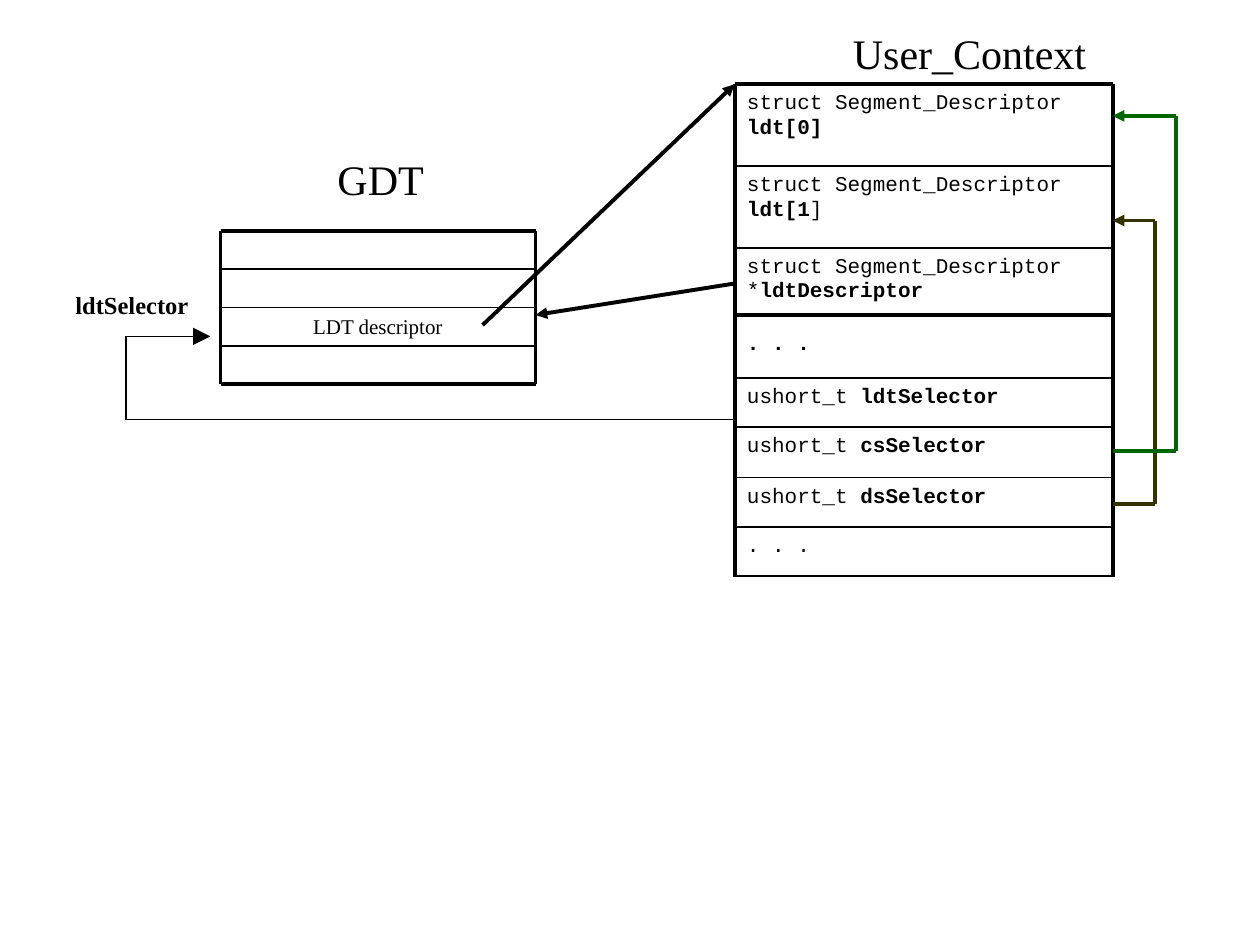
from dataclasses import dataclass

from lxml import etree
from pptx import Presentation
from pptx.dml.color import RGBColor
from pptx.enum.shapes import MSO_CONNECTOR
from pptx.enum.text import MSO_AUTO_SIZE, PP_ALIGN
from pptx.oxml.ns import qn
from pptx.util import Inches, Pt

STRAIGHT = MSO_CONNECTOR.STRAIGHT
NO_AUTOSIZE = MSO_AUTO_SIZE.NONE
LEFT, CENTER = PP_ALIGN.LEFT, PP_ALIGN.CENTER


@dataclass(frozen=True)
class Theme:
    black: str = "000000"
    olive: str = "333300"
    green: str = "006600"
    serif: str = "Times New Roman"
    mono: str = "Courier New"
    title: float = 24
    label: float = 14
    body: float = 12
    thick: float = 2.25
    thin: float = 1
    hair: float = 0.75


T = Theme()


@dataclass(frozen=True)
class Run:
    text: str
    bold: bool = False


@dataclass(frozen=True)
class Field:
    top: float
    height: float
    runs: tuple[Run, ...]


@dataclass(frozen=True)
class Label:
    left: float
    top: float
    width: float
    height: float
    size: float
    run: Run


@dataclass(frozen=True)
class Path:
    points: tuple[tuple[float, float], ...]
    color: str
    width: float
    head: str = "med"


def add_line(shapes, start: tuple[float, float], end: tuple[float, float],
             width: float, color: str = T.black, head: str = "") -> None:
    line = shapes.add_connector(STRAIGHT, *map(Inches, start + end))
    line.line.color.rgb = RGBColor.from_string(color)
    line.line.width = Pt(width)
    if head:
        etree.SubElement(line.line._get_or_add_ln(), qn("a:tailEnd"),
                         type="triangle", w=head, len=head)
    etree.SubElement(line._element.spPr, qn("a:effectLst"))


def add_text(shapes, box: tuple[float, float, float, float], runs: tuple[Run, ...],
             font: str, size: float, align=LEFT, wrap: bool = True,
             before: float = 0, spacing: float = 1) -> None:
    tf = shapes.add_textbox(*map(Inches, box)).text_frame
    tf.word_wrap = wrap
    tf.auto_size = NO_AUTOSIZE
    p = tf.paragraphs[0]
    p.alignment = align
    p.space_before = Pt(before)
    p.line_spacing = spacing
    for run in runs:
        r = p.add_run()
        r.text = run.text
        r.font.name = font
        r.font.size = Pt(size)
        r.font.bold = run.bold
        r.font.color.rgb = RGBColor.from_string(T.black)


def add_grid(shapes, left: float, right: float, bottom: float,
             rules: list[tuple[float, float]]) -> None:
    """Draw horizontal rules (y, width) between two thick sides."""
    for y, width in rules:
        add_line(shapes, (left, y), (right, y), width)
    for x in (left, right):
        add_line(shapes, (x, rules[0][0]), (x, bottom), T.thick)


def add_path(shapes, path: Path) -> None:
    """Draw joined segments with an arrowhead on the last one."""
    last = len(path.points) - 2
    for i, (start, end) in enumerate(zip(path.points, path.points[1:])):
        add_line(shapes, start, end, path.width, path.color,
                 path.head if i == last else "")


prs = Presentation()
prs.slide_width, prs.slide_height = Inches(10), Inches(7.5)
s = prs.slides.add_slide(prs.slide_layouts[6])
shapes = s.shapes

# GDT: four equal rows
GDT_LEFT, GDT_RIGHT, GDT_TOP, GDT_ROW, GDT_ROWS = 1.75, 4.25, 1.83, 0.305, 4
add_text(shapes, (GDT_LEFT, GDT_TOP + 2 * GDT_ROW, GDT_RIGHT - GDT_LEFT, 0.3),
         (Run("LDT descriptor"),), T.serif, T.body, CENTER, before=2.8)
gdt_rules = [(GDT_TOP + i * GDT_ROW, T.thick if i in (0, GDT_ROWS) else T.thin)
             for i in range(GDT_ROWS + 1)]
add_grid(shapes, GDT_LEFT, GDT_RIGHT, gdt_rules[-1][0], gdt_rules)

# User_Context: structure fields
CTX_LEFT, CTX_RIGHT, CTX_TOP, CTX_BOTTOM = 5.83, 8.83, 0.67, 4.58
STRUCT = "struct Segment_Descriptor "
FIELDS = (
    Field(CTX_TOP, 0.49, (Run(STRUCT), Run("ldt[0]", True))),
    Field(1.32, 0.49, (Run(STRUCT), Run("ldt[1", True), Run("]"))),
    Field(1.97, 0.49, (Run(STRUCT + "*"), Run("ldtDescriptor", True))),
    Field(2.58, 0.29, (Run(". . .", True),)),
    Field(3.0, 0.29, (Run("ushort_t"), Run(" ldtSelector", True))),
    Field(3.39, 0.29, (Run("ushort_t "), Run("csSelector", True))),
    Field(3.79, 0.29, (Run("ushort_t "), Run("dsSelector", True))),
    Field(4.18, 0.29, (Run(". . ."),)),
)
for field in FIELDS:
    add_text(shapes, (CTX_LEFT, field.top, CTX_RIGHT - CTX_LEFT, field.height),
             field.runs, T.mono, T.body, before=2.8, spacing=0.96)
ctx_rules = [(CTX_TOP, T.thick), (2.5, T.thick)]
ctx_rules += [(y, T.thin) for y in (1.32, 1.97, 3.0, 3.39, 3.79, 4.18, 4.57)]
add_grid(shapes, CTX_LEFT, CTX_RIGHT, CTX_BOTTOM, ctx_rules)

# Headings and selector label
LABELS = (
    Label(2.58, 1.17, 0.88, 0.5, T.title, Run("GDT")),
    Label(6.67, 0.17, 2.05, 0.5, T.title, Run("User_Context")),
    Label(0.5, 2.25, 1.1, 0.34, T.label, Run("ldtSelector", True)),
)
for label in LABELS:
    add_text(shapes, (label.left, label.top, label.width, label.height),
             (label.run,), T.serif, label.size, wrap=False)


# References between the tables
def loop(y_from: float, y_to: float, x: float, color: str) -> Path:
    return Path(((CTX_RIGHT, y_from), (x, y_from), (x, y_to), (CTX_RIGHT, y_to)),
                color, T.thick)


PATHS = (
    Path(((CTX_LEFT, 2.25), (GDT_RIGHT, 2.5)), T.black, T.thick),
    Path(((3.83, 2.58), (CTX_LEFT, CTX_TOP)), T.black, T.thick),
    Path(((CTX_LEFT, 3.33), (1, 3.33), (1, 2.67), (1.67, 2.67)),
         T.black, T.hair, "lg"),
    loop(4, 1.75, 9.17, T.olive),
    loop(3.58, 0.92, 9.33, T.green),
)
for path in PATHS:
    add_path(shapes, path)

prs.save("out.pptx")
